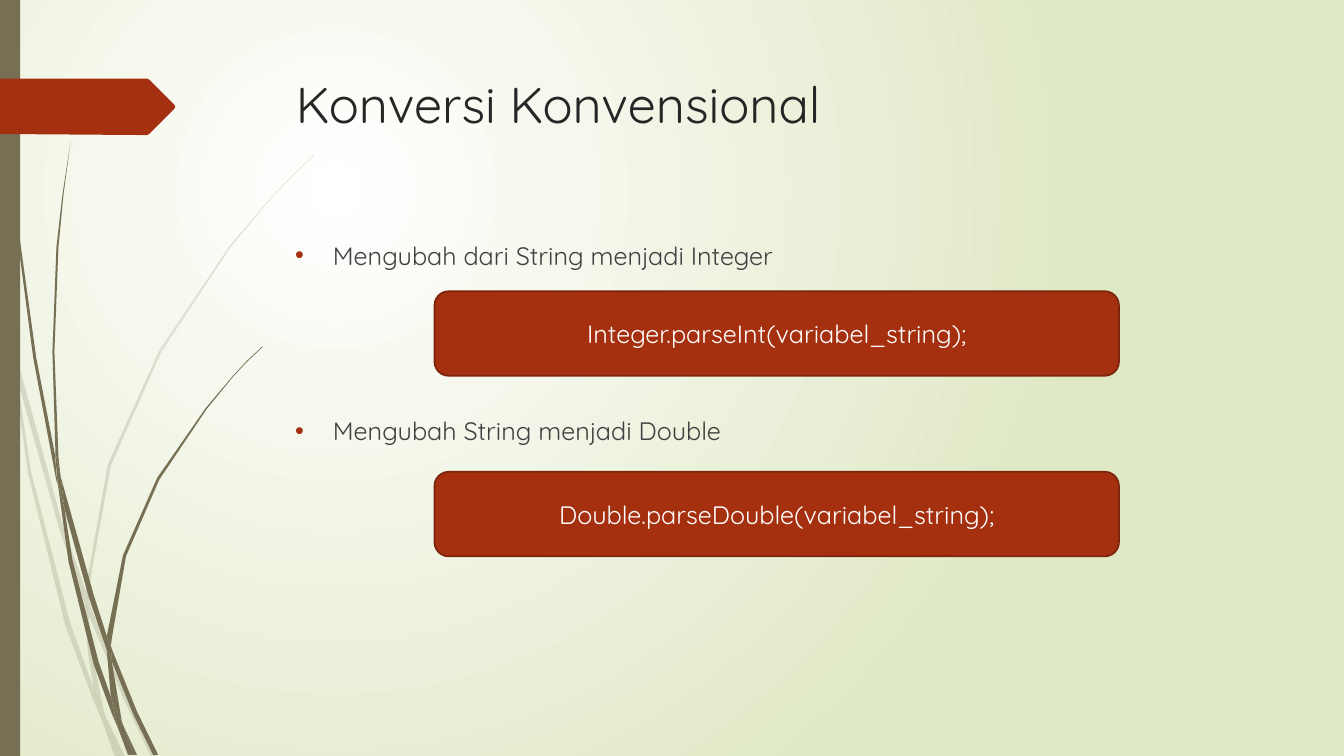
from lxml.etree import SubElement
from pptx import Presentation
from pptx.dml.color import RGBColor
from pptx.enum.shapes import MSO_SHAPE
from pptx.enum.text import MSO_ANCHOR, PP_ALIGN
from pptx.oxml.ns import qn
from pptx.util import Cm, Pt

WHITE = RGBColor(0xFF, 0xFF, 0xFF)
LIME = RGBColor(0xDF, 0xE8, 0xC4)
OLIVE = RGBColor(0x76, 0x6F, 0x54)
RUST = RGBColor(0xA5, 0x30, 0x10)
EDGE = RGBColor(0x7A, 0x24, 0x0C)
INK = RGBColor(0x26, 0x26, 0x26)
GRAY = RGBColor(0x40, 0x40, 0x40)

# Outlines are x, y pairs in steps of 0.0254 cm
UNIT = Cm(0.0254)

PALE = [
    [(11, 350), (9, 322), (0, 282), (0, 299), (10, 344)],
    [(58, 522), (84, 599), (85, 586), (62, 520), (14, 345), (17, 376)],
    [(92, 607), (88, 596), (88, 610), (123, 694), (150, 751), (155, 751),
     (127, 692)],
    [(119, 751), (124, 751), (105, 711)],
    [(93, 683), (70, 619), (31, 469), (17, 376), (11, 350), (28, 470),
     (65, 621), (92, 693), (101, 714), (99, 707)],
    [(84, 599), (87, 646), (93, 683), (96, 692), (105, 711), (103, 706),
     (91, 646), (88, 610), (88, 608)],
    [(88, 584), (110, 462), (160, 349), (229, 245), (268, 198), (290, 175),
     (312, 154), (312, 153), (289, 175), (268, 197), (228, 244), (158, 348),
     (107, 461), (85, 584), (85, 586), (88, 596)],
    [(101, 714), (114, 751), (119, 751)],
    [(88, 608), (88, 610), (88, 596), (85, 586), (84, 599)],
    [(96, 692), (93, 683), (99, 707), (101, 714), (119, 751), (105, 711)],
]

DARK = [
    [(7, 110), (17, 233), (33, 355), (56, 477), (57, 481), (55, 457),
     (55, 453), (36, 355), (19, 232), (8, 109), (5, 48), (4, 0), (3, 0),
     (4, 48)],
    [(88, 592), (106, 645), (106, 631), (93, 590), (60, 472), (64, 505)],
    [(113, 649), (110, 641), (111, 656), (132, 708), (152, 749), (157, 749),
     (136, 706)],
    [(110, 691), (98, 657), (72, 556), (64, 505), (57, 477), (68, 557),
     (93, 659), (111, 708), (117, 722), (116, 717)],
    [(60, 472), (58, 453), (54, 349), (58, 245), (63, 193), (70, 141),
     (62, 193), (56, 245), (52, 349), (55, 449)],
    [(133, 749), (136, 749), (122, 719)],
    [(57, 477), (64, 505), (60, 472), (55, 449), (55, 453)],
    [(111, 633), (125, 552), (158, 476), (205, 406), (231, 374), (245, 359),
     (261, 344), (260, 344), (245, 358), (231, 373), (204, 405), (156, 474),
     (122, 551), (106, 631), (110, 641)],
    [(117, 722), (127, 749), (131, 749)],
    [(106, 645), (110, 691), (116, 706), (122, 719), (121, 716), (111, 656),
     (109, 651)],
    [(106, 645), (109, 651), (111, 656), (110, 641), (106, 631)],
    [(116, 706), (110, 691), (116, 717), (117, 722), (130, 749), (133, 749),
     (122, 719)],
]

FLAG = [(0, 78), (146, 78), (148, 79), (173, 104), (174, 106), (173, 108),
        (148, 133), (146, 134), (136, 134), (0, 133)]


def write(para, text, size=18, color=GRAY, font="Quicksand", align=None,
          gap=0, dot=None):
    """Fill one paragraph; dot is the bullet colour."""
    run = para.add_run()
    run.text = text
    run.font.size = Pt(size)
    run.font.name = font
    run.font.color.rgb = color
    para.space_before = Pt(gap)
    if align is not None:
        para.alignment = align
    if dot is not None:
        props = para._p.get_or_add_pPr()
        props.set("marL", str(Cm(0.95)))
        props.set("indent", str(-Cm(0.95)))
        tint = SubElement(props, qn("a:buClr"))
        SubElement(tint, qn("a:srgbClr"), val=str(dot))
        SubElement(props, qn("a:buFont"), typeface="Arial")
        SubElement(props, qn("a:buChar"), char="•")


class Deck:
    def __init__(self):
        self.prs = Presentation()
        self.prs.slide_width = Cm(33.87)
        self.prs.slide_height = Cm(19.05)
        self.slide = self.prs.slides.add_slide(self.prs.slide_layouts[6])
        self.shapes = self.slide.shapes

    def glow(self, inner, outer):
        """Round background gradient."""
        fill = self.slide.background.fill
        fill.gradient()
        for stop, color, pos in zip(fill.gradient_stops, (inner, outer), (0, 1)):
            stop.color.rgb = color
            stop.position = pos
        grad = self.slide._element.xpath(".//a:gradFill")[0]
        grad.remove(grad.find(qn("a:lin")))
        ring = SubElement(grad, qn("a:path"), path="circle")
        SubElement(ring, qn("a:fillToRect"), l="50000", t="50000",
                   r="100000", b="100000")

    def paint(self, shape, fill, line=None, alpha=None):
        shape.shadow.inherit = False
        shape.fill.solid()
        shape.fill.fore_color.rgb = fill
        if line is None:
            shape.line.fill.background()
        else:
            shape.line.color.rgb = line
            shape.line.width = Pt(1.25)
        if alpha is not None:
            tint = shape._element.spPr.find(qn("a:solidFill"))[0]
            SubElement(tint, qn("a:alpha"), val=str(alpha * 1000))

    def free(self, points, fill, alpha=None):
        form = self.shapes.build_freeform(*points[0], scale=UNIT)
        form.add_line_segments(points[1:], close=True)
        self.paint(form.convert_to_shape(), fill, alpha=alpha)

    def block(self, kind, x, y, w, h, fill, line=None):
        shape = self.shapes.add_shape(kind, Cm(x), Cm(y), Cm(w), Cm(h))
        self.paint(shape, fill, line)
        return shape

    def text(self, x, y, w, h):
        frame = self.shapes.add_textbox(Cm(x), Cm(y), Cm(w), Cm(h)).text_frame
        frame.word_wrap = True
        return frame

    def code(self, y, text):
        box = self.block(MSO_SHAPE.ROUNDED_RECTANGLE, 10.95, y, 17.25, 2.13,
                         RUST, EDGE)
        frame = box.text_frame
        frame.word_wrap = True
        frame.vertical_anchor = MSO_ANCHOR.MIDDLE
        write(frame.paragraphs[0], text, color=WHITE, align=PP_ALIGN.CENTER)


def main():
    deck = Deck()
    deck.glow(WHITE, LIME)

    # Grass, side bar and flag
    for blade in PALE:
        deck.free(blade, OLIVE, alpha=20)
    for blade in DARK:
        deck.free(blade, OLIVE)
    deck.block(MSO_SHAPE.RECTANGLE, 0, 0, 0.51, 19.05, OLIVE)
    deck.free(FLAG, RUST)

    # Title
    title = deck.text(7.21, 1.73, 24.77, 3.56)
    write(title.paragraphs[0], "Konversi Konvensional", size=36, color=INK)

    # Bullets, with room for a code box after the first
    body = deck.text(7.19, 5.92, 24.77, 10.49)
    write(body.paragraphs[0], "Mengubah dari String menjadi Integer",
          gap=10, dot=RUST)
    write(body.add_paragraph(), "Mengubah String menjadi Double",
          gap=104, dot=RUST)

    # Code boxes
    deck.code(7.34, "Integer.parseInt(variabel_string);")
    deck.code(11.89, "Double.parseDouble(variabel_string);")

    deck.prs.save("out.pptx")


if __name__ == "__main__":
    main()
